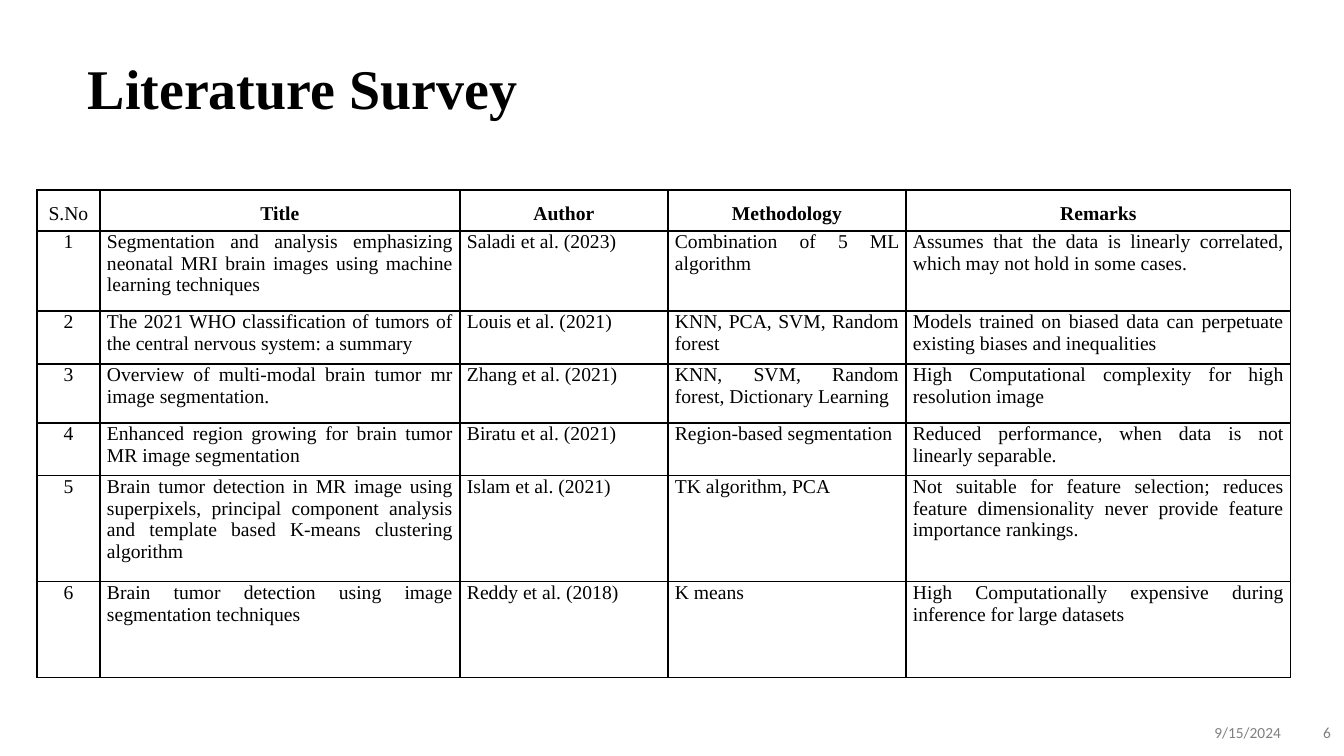
from pptx import Presentation
from pptx import util as u
from pptx.dml.color import RGBColor
from pptx.enum import text
from pptx.oxml import parse_xml
from pptx.oxml.ns import nsdecls

SCALE = 914400 / 100.8
SERIF = "Times New Roman"
COLUMNS = [63, 360, 208, 238, 385]
ROWS = [41, 80, 53, 59, 53, 106, 96]
HEADINGS = ["S.No", "Title", "Author", "Methodology", "Remarks"]
PAPERS = [
    ("Segmentation and analysis emphasizing neonatal MRI brain images using machine learning techniques",
     "Saladi et al. (2023)", "Combination of 5 ML algorithm",
     "Assumes that the data is linearly correlated, which may not hold in some cases."),
    ("The 2021 WHO classification of tumors of the central nervous system: a summary",
     "Louis et al. (2021)", "KNN, PCA, SVM, Random forest",
     "Models trained on biased data can perpetuate existing biases and inequalities"),
    ("Overview of multi-modal brain tumor mr image segmentation.",
     "Zhang et al. (2021)", "KNN, SVM, Random forest, Dictionary Learning",
     "High Computational complexity for high resolution image"),
    ("Enhanced region growing for brain tumor MR image segmentation",
     "Biratu et al. (2021)", "Region-based segmentation",
     "Reduced performance, when data is not linearly separable."),
    ("Brain tumor detection in MR image using superpixels, principal component analysis "
     "and template based K-means clustering algorithm",
     "Islam et al. (2021)", "TK algorithm, PCA",
     "Not suitable for feature selection; reduces feature dimensionality never provide feature importance rankings."),
    ("Brain tumor detection using image segmentation techniques",
     "Reddy et al. (2018)", "K means",
     "High Computationally expensive during inference for large datasets"),
]


def px(length):
    return u.Emu(round(length * SCALE))


def color(value):
    return RGBColor.from_string(value)


def write(para, words, size, font, ink, align, bold=False):
    para.alignment = align
    span = para.add_run()
    span.text = words
    span.font.size = u.Pt(size)
    span.font.name = font
    span.font.bold = bold
    span.font.color.rgb = color(ink)


def add_label(page, box, words, size, font, ink, align, bold=False):
    frame = page.shapes.add_textbox(*map(px, box)).text_frame
    frame.word_wrap = True
    frame.vertical_anchor = text.MSO_ANCHOR.MIDDLE
    para = frame.paragraphs[0]
    write(para, words, size, font, ink, align, bold)
    return para


def add_title(page, box):
    para = add_label(page, box, "Literature Survey", 40, SERIF, "000000", text.PP_ALIGN.LEFT, True)
    para.line_spacing = 0.9


def add_footer(page, box):
    left, top, width, height = box
    number_width = 50
    date_width = width - number_width
    for words, start, span_width in (("9/15/2024", left, date_width),
                                     ("6", left + date_width, number_width)):
        para = add_label(page, (start, top, span_width, height), words, 11, "Calibri",
                         "808080", text.PP_ALIGN.RIGHT)
        para.space_after = u.Pt(6)


def outline(cell, ink):
    properties = cell._tc.get_or_add_tcPr()
    for position, side in enumerate(("lnL", "lnR", "lnT", "lnB")):
        properties.insert(position, parse_xml(
            f'<a:{side} {nsdecls("a")} w="{u.Pt(1)}"><a:solidFill>'
            f'<a:srgbClr val="{ink}"/></a:solidFill></a:{side}>'))


def fill_cell(cell, words, is_header, is_number):
    insets = (10, 10, 10, 4) if is_header else (7, 0, 7, 0)
    cell.margin_left, cell.margin_top, cell.margin_right, cell.margin_bottom = map(px, insets)
    cell.vertical_anchor = text.MSO_ANCHOR.MIDDLE if is_header else text.MSO_ANCHOR.TOP
    cell.fill.background()
    outline(cell, "000000")
    align = text.PP_ALIGN.CENTER if is_header or is_number else text.PP_ALIGN.JUSTIFY
    write(cell.text_frame.paragraphs[0], words, 14, SERIF, "000000", align,
          is_header and not is_number)


def add_survey(page, left, top):
    box = (left, top, sum(COLUMNS), sum(ROWS))
    table = page.shapes.add_table(len(ROWS), len(COLUMNS), *map(px, box)).table
    table.first_row = table.horz_banding = False
    for column, width in zip(table.columns, COLUMNS):
        column.width = px(width)
    for row, height in zip(table.rows, ROWS):
        row.height = px(height)
    entries = [HEADINGS] + [(str(number), *paper) for number, paper in enumerate(PAPERS, 1)]
    for i, entry in enumerate(entries):
        for j, words in enumerate(entry):
            fill_cell(table.cell(i, j), words, i == 0, j == 0)


def main():
    deck = Presentation()
    deck.slide_width, deck.slide_height = px(1344), px(756)
    page = deck.slides.add_slide(deck.slide_layouts[6])
    add_title(page, (78, 27, 778, 128))
    add_footer(page, (989, 712, 352, 40))
    add_survey(page, 37, 190)
    deck.save("out.pptx")


if __name__ == "__main__":
    main()
